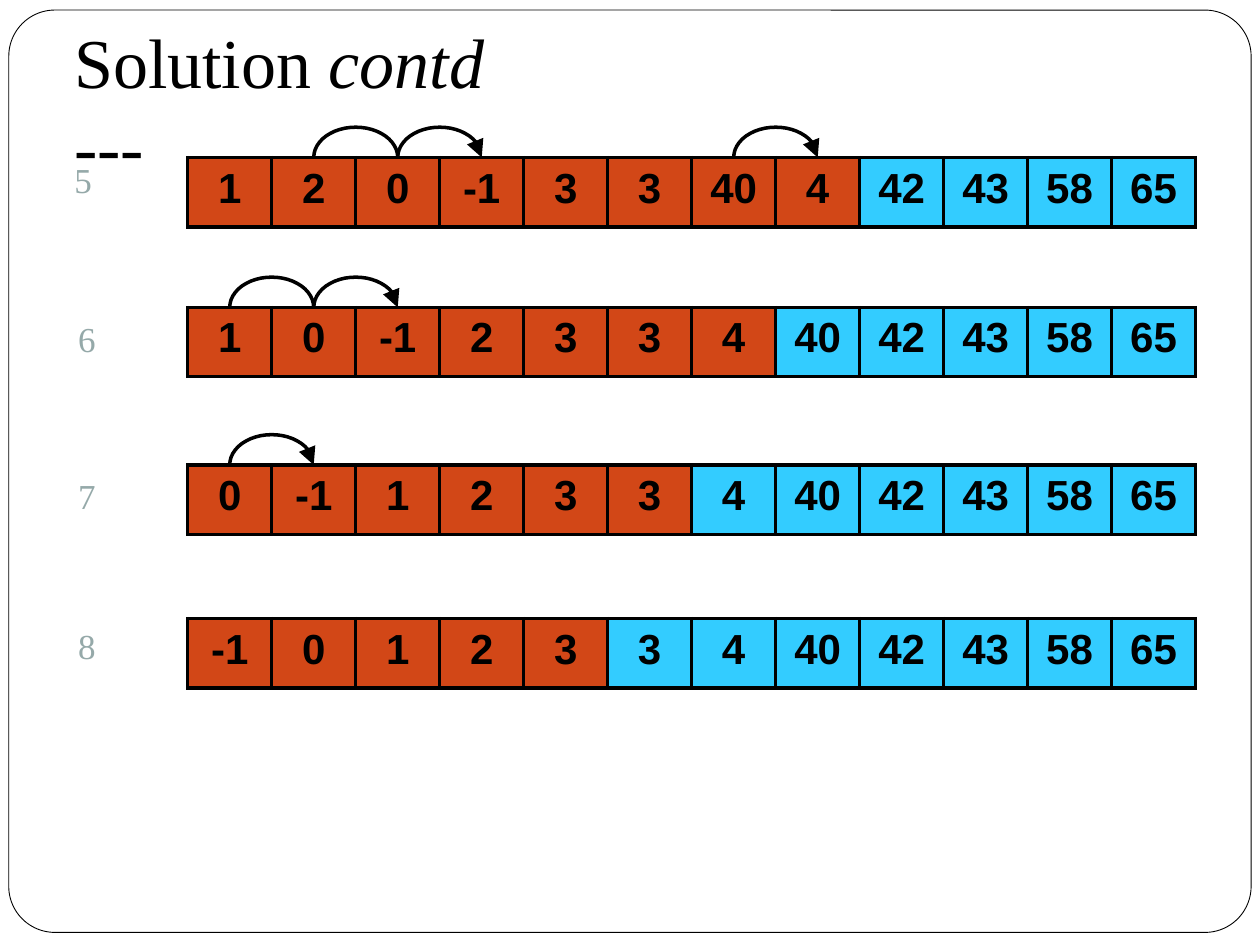
from math import cos, pi, sin

from lxml.etree import SubElement as Sub
from pptx import Presentation
from pptx.dml.color import RGBColor
from pptx.enum.shapes import MSO_SHAPE as Kind
from pptx.enum.text import MSO_ANCHOR as Anchor, PP_ALIGN as Align
from pptx.oxml.ns import qn
from pptx.util import Inches, Pt

TITLE = [("Solution ", False), ("contd ", True), ("---", False)]
SERIF, SANS = "Times New Roman", "Arial"
BLACK, GRAY, RED, BLUE = "000000", "95A9A9", "D24717", "33CCFF"

# step, top, label spot, values, count of unsorted, jumps as (from, has head)
STEPS = [
    ("5", 1.25, (0.59, 1.25), [1, 2, 0, -1, 3, 3, 40, 4, 42, 43, 58, 65], 8,
     [(1, False), (2, True), (6, True)]),
    ("6", 2.44, (0.62, 2.51), [1, 0, -1, 2, 3, 3, 4, 40, 42, 43, 58, 65], 7,
     [(0, False), (1, True)]),
    ("7", 3.69, (0.62, 3.76), [0, -1, 1, 2, 3, 3, 4, 40, 42, 43, 58, 65], 6,
     [(0, True)]),
    ("8", 4.91, (0.62, 4.95), [-1, 0, 1, 2, 3, 3, 4, 40, 42, 43, 58, 65], 5,
     []),
]
LEFT, WIDE, HIGH, RISE = 1.49, 8, 0.55, 0.24
COL = WIDE / 12


def color(code):
    return RGBColor.from_string(code)


def write(frame, runs, size, font=SERIF, ink=BLACK, bold=False,
          align=Align.LEFT, before=1):
    para = frame.paragraphs[0]
    para.alignment, para.space_before = align, Pt(before)
    para.line_spacing = 1.0
    for words, slant in runs:
        run = para.add_run()
        run.text = words
        face = run.font
        face.name, face.size = font, Pt(size)
        face.bold, face.italic = bold, slant
        face.color.rgb = color(ink)


def pad(item, top):
    item.margin_left = item.margin_right = item.margin_bottom = 0
    item.margin_top = Inches(top)


def stroke(shape, width):
    shape.shadow.inherit = False
    shape.fill.background()
    shape.line.color.rgb = color(BLACK)
    shape.line.width = Pt(width)


def border(cell):
    props = cell._tc.get_or_add_tcPr()
    for i, side in enumerate(("lnL", "lnR", "lnT", "lnB")):
        line = props.makeelement(qn("a:" + side), {"w": str(Pt(2.25))})
        fill = Sub(line, qn("a:solidFill"))
        Sub(fill, qn("a:srgbClr"), val=BLACK)
        props.insert(i, line)


def draw_row(top, values, count):
    grid = shapes.add_table(1, len(values), Inches(LEFT), Inches(top),
                            Inches(WIDE), Inches(HIGH)).table
    for i, value in enumerate(values):
        grid.columns[i].width = Inches(COL)
        cell = grid.cell(0, i)
        cell.fill.solid()
        cell.fill.fore_color.rgb = color(RED if i < count else BLUE)
        pad(cell, 0.06)
        write(cell.text_frame, [(str(value), False)], 24, font=SANS,
              bold=True, align=Align.CENTER, before=4.6)
        border(cell)


def draw_jump(top, start, head):
    mid = LEFT + (start + 1) * COL
    spots = [(Inches(mid - COL / 2 * cos(pi * i / 24)),
              Inches(top - RISE * sin(pi * i / 24))) for i in range(25)]
    path = shapes.build_freeform(*spots[0])
    path.add_line_segments(spots[1:], close=False)
    curve = path.convert_to_shape()
    stroke(curve, 2)
    if head:
        Sub(curve.line._get_or_add_ln(), qn("a:tailEnd"),
            type="triangle", w="lg", len="lg")


def draw_label(words, x, y):
    frame = shapes.add_textbox(Inches(x), Inches(y), Inches(0.16),
                               Inches(0.36)).text_frame
    frame.word_wrap = True
    pad(frame, 0.01)
    write(frame, [(words, False)], 20, ink=GRAY)


deck = Presentation()
deck.slide_width, deck.slide_height = Inches(10), Inches(7.5)
slide = deck.slides.add_slide(deck.slide_layouts[5])
shapes = slide.shapes

title = shapes.title
title.left, title.top = Inches(0.59), Inches(0.14)
title.width, title.height = Inches(3.44), Inches(0.69)
title.text_frame.word_wrap = True
title.text_frame.vertical_anchor = Anchor.TOP
pad(title.text_frame, 0.01)
write(title.text_frame, TITLE, 40)

edge = shapes.add_shape(Kind.ROUNDED_RECTANGLE, Inches(0.07), Inches(0.08),
                        Inches(9.86), Inches(7.32))
edge.adjustments[0] = 0.05
stroke(edge, 0.5)

for step, top, spot, values, count, jumps in STEPS:
    draw_row(top, values, count)
    draw_label(step, *spot)
    for start, head in jumps:
        draw_jump(top, start, head)

deck.save("out.pptx")
